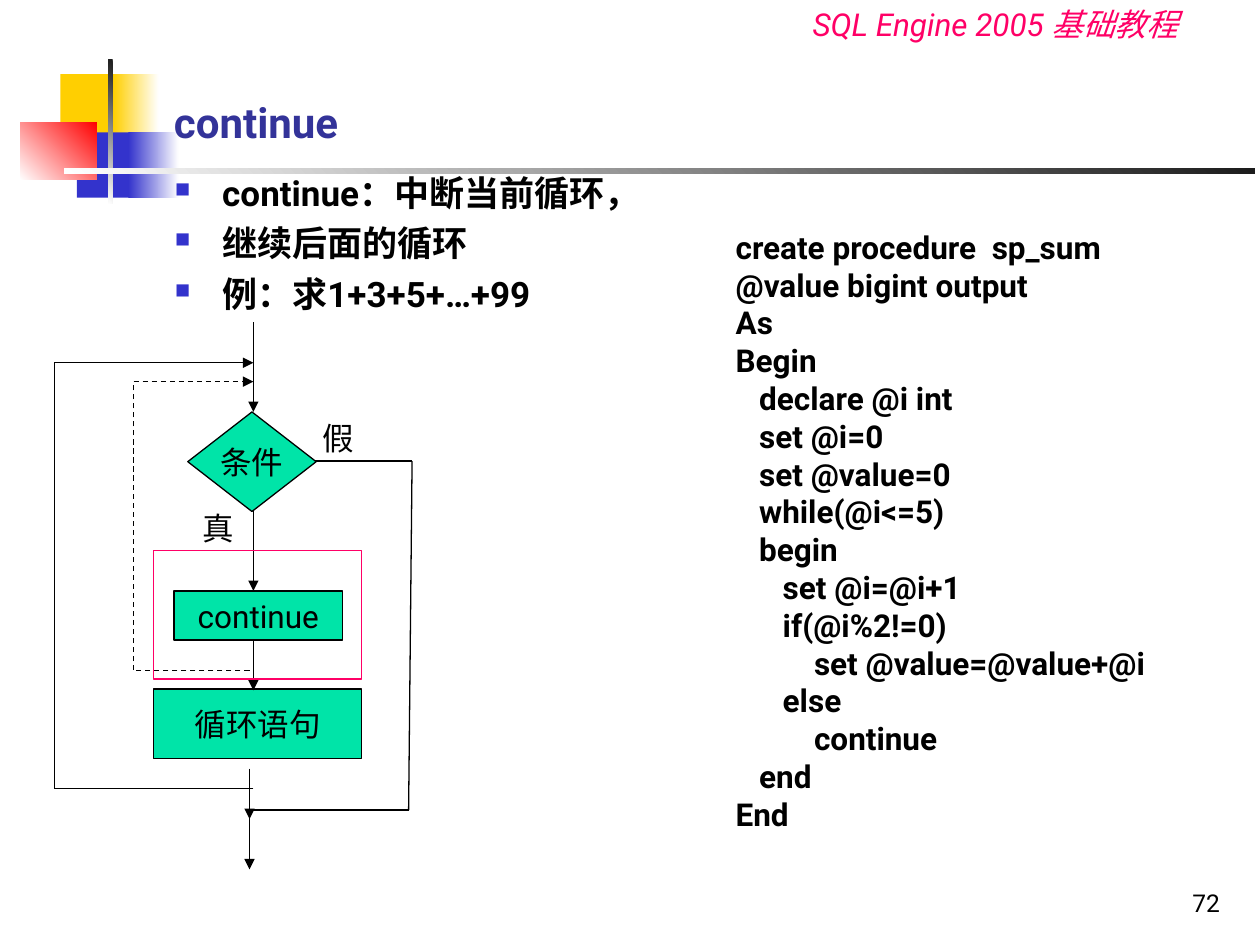
import dataclasses
import pptx
import pptx.dml.color
import pptx.enum.dml
import pptx.enum.shapes
import pptx.enum.text
import pptx.oxml
import pptx.oxml.ns
import pptx.util
from lxml import etree

Pt = pptx.util.Pt
SHAPE = pptx.enum.shapes.MSO_SHAPE
ALIGN = pptx.enum.text.PP_ALIGN
ANCHOR = pptx.enum.text.MSO_ANCHOR
qn = pptx.oxml.ns.qn


@dataclasses.dataclass(frozen=True)
class Theme:
    font: str = "Roboto"
    title_size: int = 24
    bullet_size: int = 20
    text_size: int = 18
    number_size: int = 14
    ink: str = "000000"
    title: str = "333399"
    blue: str = "3333CC"
    pink: str = "FF0066"
    node: str = "00E4A8"
    yellow: str = "FFCF01"
    red: str = "FF0000"
    dark: str = "1C1C1C"
    white: str = "FFFFFF"
    line_width: float = 0.75


THEME = Theme()


@dataclasses.dataclass(frozen=True)
class Box:
    left: float
    top: float
    width: float
    height: float

    def inner(self, left, top, width, height):
        return Box(self.left + left, self.top + top, width, height)

    def lengths(self):
        return [Pt(v) for v in (self.left, self.top, self.width, self.height)]


def rgb(value):
    return pptx.dml.color.RGBColor.from_string(value)


def write(frame, lines, size, color=THEME.ink, bold=False, italic=False,
          align=ALIGN.LEFT, anchor=ANCHOR.TOP, wrap=True):
    frame.word_wrap = wrap
    frame.vertical_anchor = anchor
    for index, line in enumerate(lines):
        paragraph = frame.paragraphs[0] if index == 0 else frame.add_paragraph()
        paragraph.alignment = align
        run = paragraph.add_run()
        run.text = line
        run.font.name = THEME.font
        run.font.size = Pt(size)
        run.font.bold = bold
        run.font.italic = italic
        run.font.color.rgb = rgb(color)


def add_text(slide, box, lines, size, **style):
    frame = slide.shapes.add_textbox(*box.lengths()).text_frame
    write(frame, lines, size, **style)
    return frame


def add_block(slide, kind, box, fill=None, outline=None):
    block = slide.shapes.add_shape(kind, *box.lengths())
    block.shadow.inherit = False
    if fill:
        block.fill.solid()
        block.fill.fore_color.rgb = rgb(fill)
    else:
        block.fill.background()
    if outline:
        block.line.color.rgb = rgb(outline)
        block.line.width = Pt(THEME.line_width)
    else:
        block.line.fill.background()
    return block


def add_fade(slide, box, start, end, angle):
    fill = add_block(slide, SHAPE.RECTANGLE, box).fill
    fill.gradient()
    fill.gradient_angle = angle
    for stop, position, color in zip(fill.gradient_stops, (0, 1), (start, end)):
        stop.position = position
        stop.color.rgb = rgb(color)


def add_line(slide, box, start, end, arrow=False, dashed=False):
    points = [Pt(v) for x, y in (start, end) for v in (box.left + x, box.top + y)]
    line = slide.shapes.add_connector(pptx.enum.shapes.MSO_CONNECTOR.STRAIGHT, *points)
    line.line.color.rgb = rgb(THEME.ink)
    line.line.width = Pt(THEME.line_width)
    if dashed:
        line.line.dash_style = pptx.enum.dml.MSO_LINE.DASH
    if arrow:
        etree.SubElement(line.line._get_or_add_ln(), qn("a:tailEnd"), type="triangle")
    etree.SubElement(line.element.spPr, qn("a:effectLst"))


def draw_ornament(slide, box):
    def part(*place):
        return box.inner(*place)

    add_block(slide, SHAPE.RECTANGLE, part(23, 8.6, 34.6, 37.4), THEME.yellow)
    add_fade(slide, part(53.3, 8.6, 25.9, 37.4), THEME.yellow, THEME.white, 0)
    add_block(slide, SHAPE.RECTANGLE, part(32.4, 41.8, 33.1, 37.4), THEME.blue)
    add_fade(slide, part(61.9, 41.8, 28.8, 37.4), THEME.blue, THEME.white, 0)
    add_fade(slide, part(0, 36, 43.9, 33.1), THEME.red, THEME.white, 225)
    add_fade(slide, part(50.4, 0, 2.4, 82.8), THEME.dark, THEME.white, 225)
    add_fade(slide, part(25.2, 62.4, 680.4, 3), THEME.dark, THEME.white, 225)


def place_title(slide, box, text):
    title = slide.shapes.title
    title.element.getparent().append(title.element)
    title.left, title.top, title.width, title.height = box.lengths()
    write(title.text_frame, [text], THEME.title_size, color=THEME.title,
          bold=True, anchor=ANCHOR.BOTTOM)


def write_bullets(slide, box, lines):
    frame = add_text(slide, box, lines, THEME.bullet_size, bold=True)
    for index, paragraph in enumerate(frame.paragraphs):
        if index:
            paragraph.space_before = Pt(5)
        properties = paragraph._p.get_or_add_pPr()
        properties.set("marL", str(Pt(27)))
        properties.set("indent", str(-Pt(27)))
        color = etree.SubElement(properties, qn("a:buClr"))
        etree.SubElement(color, qn("a:srgbClr"), val=THEME.blue)
        etree.SubElement(properties, qn("a:buSzPct"), val="60000")
        etree.SubElement(properties, qn("a:buChar"), char="■")


def write_code(slide, box, code):
    frame = add_text(slide, box, code.strip().splitlines(), THEME.text_size, bold=True)
    for paragraph in frame.paragraphs:
        paragraph._p.get_or_add_pPr().set("marL", str(Pt(36)))


def draw_flowchart(slide, box):
    loop, skip, spine, leave = 0, 45.4, 113.8, 204.5
    end_spine = 111.6
    loop_top, skip_top, test_mid = 23, 33.8, 79.2
    skip_end, loop_end, leave_end = 198.7, 266.4, 278.6

    nodes = [
        (SHAPE.DIAMOND, (76.3, 51.1, 73.4, 56.9), "条件"),
        (SHAPE.RECTANGLE, (56.9, 209.5, 118.8, 39.6), "循环语句"),
        (SHAPE.RECTANGLE, (68.4, 153.4, 96.5, 28.1), "continue"),
    ]
    for kind, place, label in nodes:
        node = add_block(slide, kind, box.inner(*place), THEME.node, THEME.ink)
        write(node.text_frame, [label], THEME.text_size, align=ALIGN.CENTER,
              anchor=ANCHOR.MIDDLE, wrap=False)

    for left, top, label in [(77.8, 103, "真"), (146.2, 51.8, "假")]:
        add_text(slide, box.inner(left, top, 32.4, 28.8), [label],
                 THEME.text_size, wrap=False)

    arrows = [(spine, 0, 51.1), (spine, 108, 153.4), (spine, 181.4, 210.2),
              (end_spine, 254.9, 283.7), (end_spine, 272.9, 312.5)]
    for x, top, bottom in arrows:
        add_line(slide, box, (x, top), (x, bottom), arrow=True)

    routes = [
        ([(spine, loop_end), (loop, loop_end), (loop, loop_top), (spine, loop_top)], True, False),
        ([(end_spine, skip_end), (skip, skip_end), (skip, skip_top), (spine, skip_top)], True, True),
        ([(149, test_mid), (leave, test_mid), (leave - 2, leave_end), (spine, leave_end)], False, False),
    ]
    for corners, arrow, dashed in routes:
        for index, (start, end) in enumerate(zip(corners, corners[1:])):
            last = index == len(corners) - 2
            add_line(slide, box, start, end, arrow and last, dashed)

    add_block(slide, SHAPE.RECTANGLE, box.inner(56.9, 130.3, 118.8, 73.4), outline=THEME.pink)


CODE = """
create procedure  sp_sum
@value bigint output
As
Begin
   declare @i int
   set @i=0
   set @value=0
   while(@i<=5)
   begin
      set @i=@i+1
      if(@i%2!=0)
          set @value=@value+@i
      else
          continue
   end
End
"""


def main():
    deck = pptx.Presentation()
    deck.slide_width, deck.slide_height = Pt(720), Pt(540)
    slide = deck.slides.add_slide(deck.slide_layouts[5])
    draw_ornament(slide, Box(11.5, 33.8, 705.6, 82.8))
    add_text(slide, Box(457.2, -0.7, 226, 28.8), ["SQL Engine 2005 基础教程"],
             THEME.text_size, color=THEME.pink, italic=True, wrap=False)
    place_title(slide, Box(92.2, 44.6, 613.4, 43.2), "continue")
    write_bullets(slide, Box(92.9, 94.3, 612, 371.5),
                  ["continue：中断当前循环，", "继续后面的循环", "例：求1+3+5+…+99"])
    draw_flowchart(slide, Box(31, 184.3, 204.5, 312.5))
    write_code(slide, Box(377.3, 126.7, 329, 352.8), CODE)
    add_text(slide, Box(554.4, 491.8, 149.8, 36), ["72"], THEME.number_size,
             align=ALIGN.RIGHT, anchor=ANCHOR.BOTTOM)
    deck.save("out.pptx")


if __name__ == "__main__":
    main()
